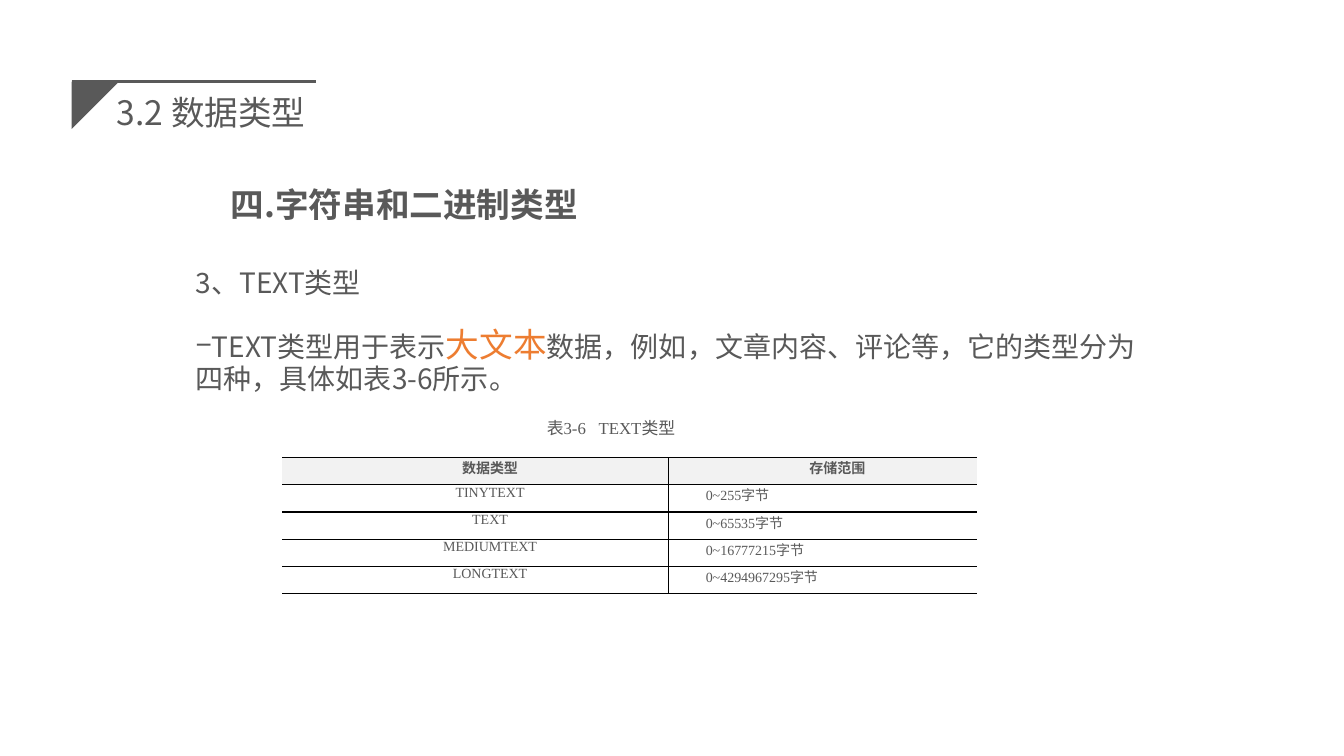
from dataclasses import dataclass

from lxml import etree
from pptx import Presentation
from pptx.dml.color import RGBColor
from pptx.enum.shapes import MSO_CONNECTOR
from pptx.enum.text import MSO_ANCHOR, MSO_AUTO_SIZE, PP_ALIGN
from pptx.oxml.ns import qn
from pptx.util import Inches, Pt

LEFT, CENTER = PP_ALIGN.LEFT, PP_ALIGN.CENTER
TOP, MIDDLE = MSO_ANCHOR.TOP, MSO_ANCHOR.MIDDLE
STRAIGHT = MSO_CONNECTOR.STRAIGHT
NO_AUTOFIT = MSO_AUTO_SIZE.NONE

COLORS = {"text": "595959", "accent": "ED7D31", "header": "F2F2F2", "rule": "000000"}
SANS = "Noto Sans CJK SC"
SERIF = "Times New Roman"
PLAIN_TABLE_STYLE = "{2D5ABB26-0587-4C30-8999-92F81FD0307C}"


@dataclass
class Span:
    text: str
    size: int
    font: str = SANS
    color: str = "text"
    bold: bool = False
    spacing: int = 0


@dataclass
class Box:
    left: float
    top: float
    width: float
    height: float
    anchor: MSO_ANCHOR


TITLE_BOX = Box(1.06, 0.69, 3.95, 0.84, MIDDLE)
HEADING_BOX = Box(2.19, 1.6, 4.61, 0.64, MIDDLE)
BODY_BOX = Box(1.84, 2.62, 9.66, 1.51, TOP)
CAPTION_BOX = Box(4.37, 4.09, 3.38, 0.3, MIDDLE)

TITLE = [Span("3.2 数据类型", 24)]
HEADING = [Span("四.字符串和二进制类型", 24, bold=True)]
TOPIC = [Span("3、TEXT类型", 20)]
DESCRIPTION = [
    Span("TEXT类型用于表示", 20),
    Span("大文本", 24, color="accent"),
    Span("数据，例如，文章内容、评论等，它的类型分为四种，具体如表3-6所示。", 20),
]
CAPTION = [
    Span("表3-6", 12, SERIF),
    Span(" ", 12, SERIF, spacing=600),
    Span("TEXT类型", 12, SERIF),
]
TABLE_ROWS = [
    ("数据类型", "存储范围"),
    ("TINYTEXT", "0~255字节"),
    ("TEXT", "0~65535字节"),
    ("MEDIUMTEXT", "0~16777215字节"),
    ("LONGTEXT", "0~4294967295字节"),
]
COLUMN_WIDTHS = (3.83, 3.06)
ROW_HEIGHT = 0.27


def rgb(name: str) -> RGBColor:
    return RGBColor.from_string(COLORS[name])


def place(shape, box: Box) -> None:
    shape.left, shape.top = Inches(box.left), Inches(box.top)
    shape.width, shape.height = Inches(box.width), Inches(box.height)
    frame = shape.text_frame
    frame.word_wrap = True
    frame.auto_size = NO_AUTOFIT
    frame.vertical_anchor = box.anchor


def write(paragraph, spans: list[Span], alignment=LEFT, line_spacing=1.0,
          space_before=0, indent=0.0, bullet: str = "") -> None:
    paragraph.alignment = alignment
    paragraph.line_spacing = line_spacing
    paragraph.space_before = Pt(space_before)
    paragraph.space_after = Pt(0)
    properties = paragraph._p.get_or_add_pPr()
    properties.set("marL", "0")
    properties.set("indent", str(Inches(indent)))
    if bullet:
        etree.SubElement(properties, qn("a:buChar")).set("char", bullet)
    else:
        etree.SubElement(properties, qn("a:buNone"))
    for span in spans:
        run = paragraph.add_run()
        run.text = span.text
        run.font.size = Pt(span.size)
        run.font.name = span.font
        run.font.bold = span.bold
        run.font.color.rgb = rgb(span.color)
        run_properties = run._r.get_or_add_rPr()
        etree.SubElement(run_properties, qn("a:ea")).set("typeface", SANS)
        if span.spacing:
            run_properties.set("spc", str(span.spacing))


def add_text(slide, box: Box, spans: list[Span], **formatting) -> None:
    shape = slide.shapes.add_textbox(0, 0, 0, 0)
    place(shape, box)
    write(shape.text_frame.paragraphs[0], spans, **formatting)


def add_title_mark(slide) -> None:
    left, top, side = Inches(0.71), Inches(0.81), Inches(0.47)
    builder = slide.shapes.build_freeform(left, top)
    builder.add_line_segments([(left + side, top), (left, top + side)], close=True)
    corner = builder.convert_to_shape()
    corner.shadow.inherit = False
    corner.fill.solid()
    corner.fill.fore_color.rgb = rgb("text")
    corner.line.fill.background()
    rule = slide.shapes.add_connector(STRAIGHT, left, top, Inches(3.13), top)
    rule.line.color.rgb = rgb("text")
    rule.line.width = Pt(1.75)
    etree.SubElement(rule._element.spPr, qn("a:effectLst"))


def add_borders(cell, sides: list[str]) -> None:
    properties = cell._tc.get_or_add_tcPr()
    for position, side in enumerate(sides):
        border = etree.Element(qn(f"a:{side}"), w=str(Pt(1)))
        fill = etree.SubElement(border, qn("a:solidFill"))
        etree.SubElement(fill, qn("a:srgbClr")).set("val", COLORS["rule"])
        properties.insert(position, border)


def add_type_table(slide) -> None:
    graphic_frame = slide.shapes.add_table(
        len(TABLE_ROWS), len(COLUMN_WIDTHS), Inches(2.8), Inches(4.54),
        Inches(sum(COLUMN_WIDTHS)), Inches(ROW_HEIGHT * len(TABLE_ROWS)))
    table = graphic_frame.table
    table._tbl.tblPr.find(qn("a:tableStyleId")).text = PLAIN_TABLE_STYLE
    for column, width in zip(table.columns, COLUMN_WIDTHS):
        column.width = Inches(width)
    for row_index, texts in enumerate(TABLE_ROWS):
        is_header = row_index == 0
        for column_index, text in enumerate(texts):
            cell = table.cell(row_index, column_index)
            cell.margin_left = cell.margin_right = Inches(0.08)
            cell.margin_top = cell.margin_bottom = 0
            if is_header:
                cell.fill.solid()
                cell.fill.fore_color.rgb = rgb("header")
            else:
                cell.fill.background()
            inner_side = "lnR" if column_index == 0 else "lnL"
            add_borders(cell, [inner_side, "lnT", "lnB"])
            alignment = CENTER if is_header or column_index == 0 else LEFT
            write(cell.text_frame.paragraphs[0], [Span(text, 10, SERIF, bold=is_header)],
                  alignment=alignment, indent=0.29)


def main() -> None:
    presentation = Presentation()
    presentation.slide_width = Inches(13.33)
    presentation.slide_height = Inches(7.5)
    slide = presentation.slides.add_slide(presentation.slide_layouts[1])
    title, body = slide.placeholders
    place(title, TITLE_BOX)
    write(title.text_frame.paragraphs[0], TITLE)
    add_title_mark(slide)
    place(body, BODY_BOX)
    write(body.text_frame.paragraphs[0], TOPIC, line_spacing=0.9)
    write(body.text_frame.add_paragraph(), DESCRIPTION, line_spacing=0.9,
          space_before=21, bullet="−")
    add_text(slide, CAPTION_BOX, CAPTION, alignment=CENTER)
    add_type_table(slide)
    add_text(slide, HEADING_BOX, HEADING, line_spacing=1.5)
    presentation.save("out.pptx")


if __name__ == "__main__":
    main()
